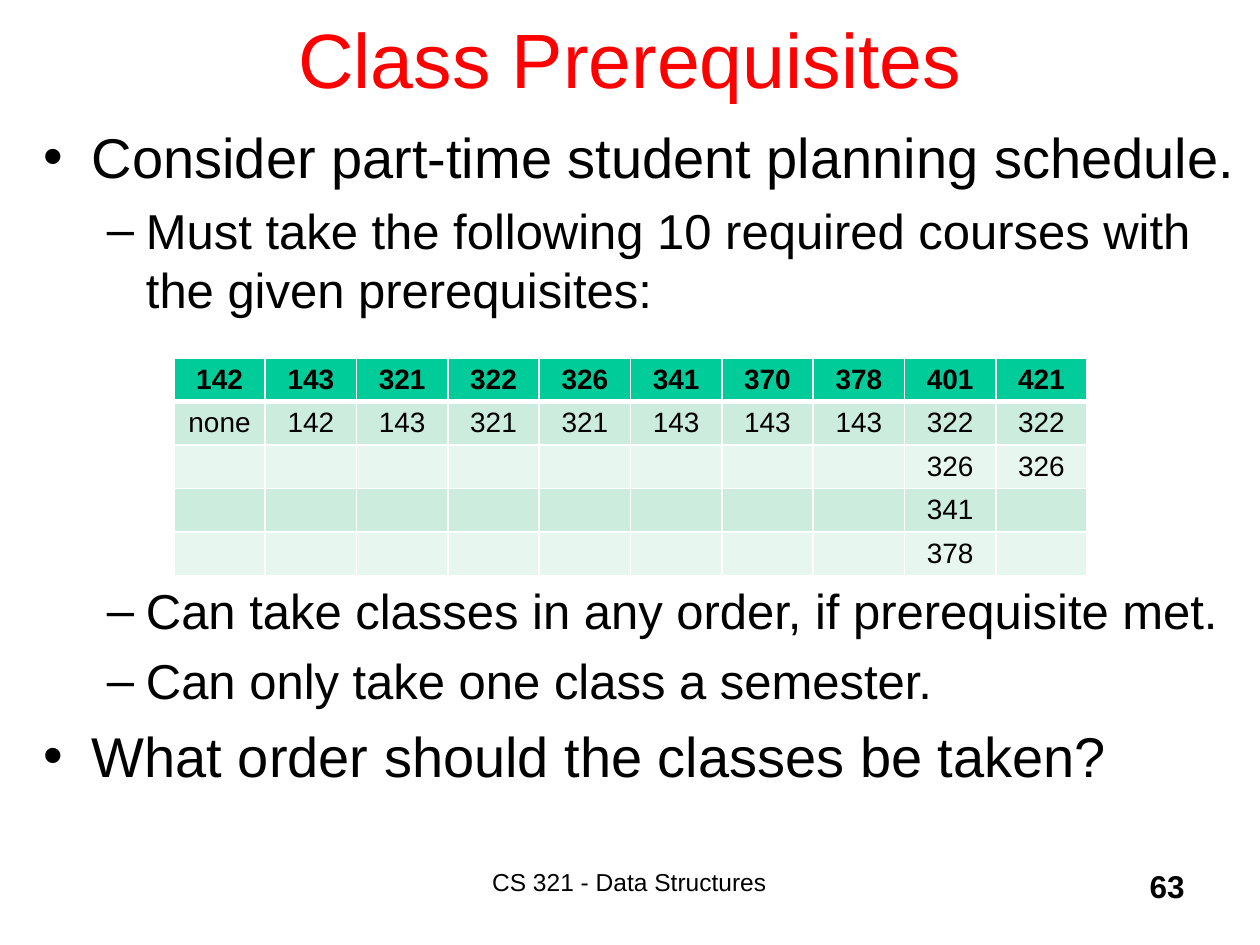
from lxml import etree
from pptx import Presentation
from pptx.dml.color import RGBColor
from pptx.enum import text
from pptx.oxml import ns
from pptx.util import Inches, Pt

COLORS = {"title": "FF0000", "text": "000000", "header": "00CC99",
          "band": "CCECDE", "light": "E7F6EF", "border": "FFFFFF"}
ALIGN = text.PP_ALIGN


def style(paragraph, size, color="text", align=ALIGN.LEFT, bold=False):
    paragraph.alignment = align
    for run in paragraph.runs:
        run.font.name = "Arial"
        run.font.size = Pt(size)
        run.font.bold = bold
        run.font.color.rgb = RGBColor.from_string(COLORS[color])


def add_border(cell, side, width):
    """Draw one side of a cell: L, R, T or B."""
    line = etree.SubElement(cell._tc.get_or_add_tcPr(), ns.qn(f"a:ln{side}"), w=str(Pt(width)))
    fill = etree.SubElement(line, ns.qn("a:solidFill"))
    etree.SubElement(fill, ns.qn("a:srgbClr"), val=COLORS["border"])


prs = Presentation()
prs.slide_width, prs.slide_height = Inches(10), Inches(7.5)
slide = prs.slides.add_slide(prs.slide_layouts[5])

title = slide.shapes.title
title.left, title.top = Inches(0.75), Inches(-0.17)
title.width, title.height = Inches(8.5), Inches(1.25)
title.text_frame.text = "Class Prerequisites"
title.text_frame.vertical_anchor = text.MSO_ANCHOR.MIDDLE
style(title.text_frame.paragraphs[0], 44, "title", ALIGN.CENTER)

# Bullets: level, space before in points, wording; the third leaves room for the table
bullets = [
    (0, 7, "Consider part-time student planning schedule."),
    (1, 6.4, "Must take the following 10 required courses with the given prerequisites:"),
    (1, 150, "Can take classes in any order, if prerequisite met."),
    (1, 6.4, "Can only take one class a semester."),
    (0, 7, "What order should the classes be taken?"),
]
levels = [("•", 32, 0.38, 0.38), ("–", 28, 0.81, 0.31)]
outline = slide.shapes.add_textbox(Inches(0.25), Inches(0.92), Inches(9.75), Inches(6)).text_frame
outline.word_wrap = True
outline.text = "\n".join(wording for _, _, wording in bullets)
for paragraph, (level, space, _) in zip(outline.paragraphs, bullets):
    mark, size, margin, hanging = levels[level]
    paragraph.level = level
    paragraph.space_before = Pt(space)
    style(paragraph, size)
    properties = paragraph._p.get_or_add_pPr()
    properties.set("marL", str(Inches(margin)))
    properties.set("indent", str(-Inches(hanging)))
    etree.SubElement(properties, ns.qn("a:buFont"), typeface="Arial")
    etree.SubElement(properties, ns.qn("a:buChar"), char=mark)

prerequisites = {
    "142": ["none"], "143": ["142"], "321": ["143"], "322": ["321"], "326": ["321"],
    "341": ["143"], "370": ["143"], "378": ["143"],
    "401": ["322", "326", "341", "378"], "421": ["322", "326"],
}
row_count = 1 + max(len(needed) for needed in prerequisites.values())
courses = slide.shapes.add_table(row_count, len(prerequisites), Inches(1.38), Inches(2.84),
                                 Inches(7.25), Inches(1.73)).table
for column, (course, needed) in enumerate(prerequisites.items()):
    entries = [course] + needed
    for row in range(row_count):
        cell = courses.cell(row, column)
        cell.margin_top = cell.margin_bottom = 0
        cell.vertical_anchor = text.MSO_ANCHOR.MIDDLE
        if row < len(entries):
            cell.text_frame.text = entries[row]
            style(cell.text_frame.paragraphs[0], 16, align=ALIGN.CENTER, bold=row == 0)
        for side in "LRTB":
            below_header = (row, side) in [(0, "B"), (1, "T")]
            add_border(cell, side, 3 if below_header else 1)
        shade = "header" if row == 0 else "band" if row % 2 else "light"
        cell.fill.solid()
        cell.fill.fore_color.rgb = RGBColor.from_string(COLORS[shade])

for left, width, wording, size, align, bold in [
    (3.08, 3.83, "CS 321 - Data Structures", 14, ALIGN.CENTER, False),
    (7.42, 2.08, "63", 18, ALIGN.RIGHT, True),
]:
    footer = slide.shapes.add_textbox(Inches(left), Inches(6.83), Inches(width), Inches(0.5)).text_frame
    footer.word_wrap = True
    footer.text = wording
    style(footer.paragraphs[0], size, align=align, bold=bold)

prs.save("out.pptx")
